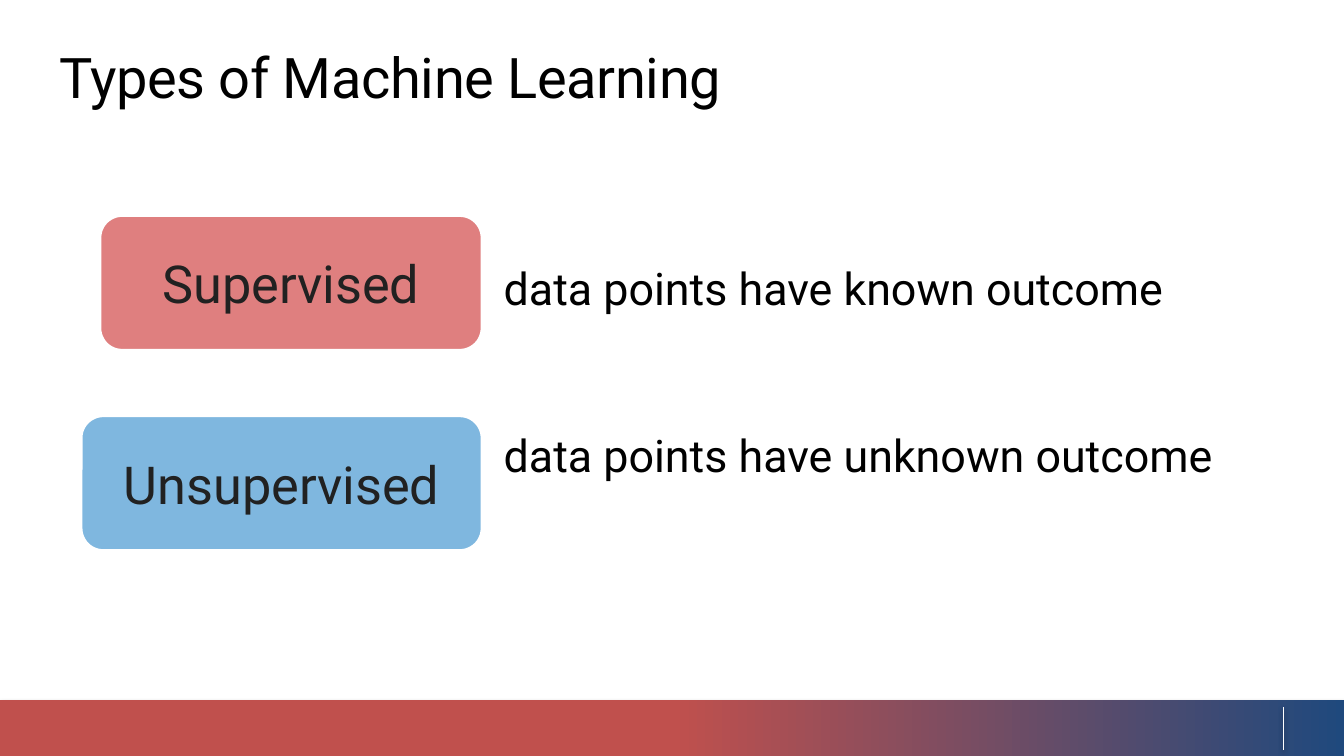
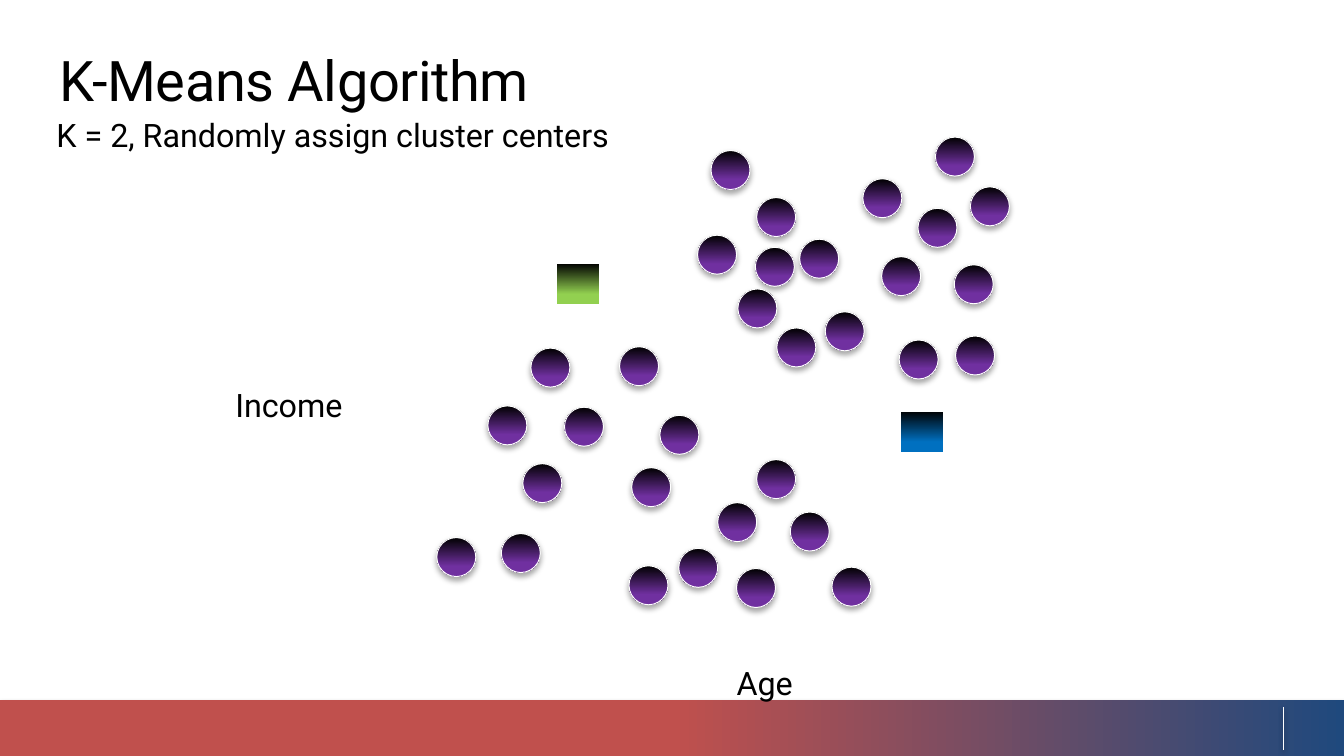
from lxml.etree import SubElement
from pptx import Presentation
from pptx.dml.color import RGBColor
from pptx.enum.shapes import MSO_CONNECTOR, MSO_SHAPE
from pptx.enum.text import MSO_ANCHOR, MSO_AUTO_SIZE, PP_ALIGN
from pptx.oxml.ns import qn
from pptx.util import Inches, Pt

# The grid has ten columns; a row is as high as a column is wide.
WIDTH, HEIGHT = Inches(10), Inches(5.625)
CELL = WIDTH / 10
FONT = "Roboto"
COLORS = {
    "text": "000000", "card_text": "212121", "white": "FFFFFF",
    "navy": "1F497D", "brick": "C0504D",
    "supervised": "C00000", "unsupervised": "0070C0",
    "point": "7030A0", "green_center": "92D050", "blue_center": "0070C0",
}
CARD_PAD = (0.1, 0.05)
BAND_TOP = 5.21
POINT_SIZE = 0.29
CENTER_SIZE = (0.32, 0.31)

# Left and top of each data point, in grid cells.
HIGH_INCOME = [
    (5.29, 1.12), (5.19, 1.75), (5.63, 1.47), (5.62, 1.84),
    (5.49, 2.15), (5.95, 1.78), (6.14, 2.32), (5.78, 2.44),
    (6.69, 2.53), (7.11, 2.5), (7.1, 1.97), (6.56, 1.91),
    (6.83, 1.55), (7.22, 1.39), (6.96, 1.02), (6.42, 1.33),
]
LOW_INCOME = [
    (3.25, 4), (3.63, 3.02), (3.95, 2.59), (4.2, 3.03),
    (4.61, 2.58), (4.91, 3.09), (4.7, 3.48), (3.89, 3.45),
    (3.73, 3.97), (4.68, 4.21), (5.05, 4.08), (5.34, 3.74),
    (5.63, 3.42), (5.88, 3.81), (5.48, 4.23), (6.19, 4.22),
]


def color(name):
    """Return the palette colour of that name."""
    return RGBColor.from_string(COLORS[name])


def cells(*counts):
    """Turn counts of grid cells into slide lengths."""
    return [round(count * CELL) for count in counts]


def write(frame, words, size=24, ink="text", align=PP_ALIGN.LEFT,
          anchor=MSO_ANCHOR.TOP, pad=(0, 0), leading=None, tracking=None):
    """Fill a text frame with one formatted paragraph."""
    frame.word_wrap = True
    frame.auto_size = MSO_AUTO_SIZE.NONE
    frame.vertical_anchor = anchor
    frame.margin_left = frame.margin_right = Inches(pad[0])
    frame.margin_top = frame.margin_bottom = Inches(pad[1])
    paragraph = frame.paragraphs[0]
    paragraph.alignment = align
    paragraph.line_spacing = leading
    run = paragraph.add_run()
    run.text = words
    run.font.name, run.font.size = FONT, Pt(size)
    run.font.color.rgb = color(ink)
    if tracking:
        run.font._element.set("spc", str(round(tracking * 100)))


def add_label(slide, box, words, **style):
    """Add a text box at a grid box."""
    label = slide.shapes.add_textbox(*cells(*box))
    write(label.text_frame, words, **style)


def cast_shadow(element, strength):
    """Put a soft shadow below a shape or connector."""
    properties = element.spPr
    effects = properties.find(qn("a:effectLst"))
    if effects is None:
        effects = SubElement(properties, qn("a:effectLst"))
    shadow = SubElement(effects, qn("a:outerShdw"), blurRad=str(Pt(3.1)),
                        dist=str(Pt(1.8)), dir="5400000", rotWithShape="0")
    black = SubElement(shadow, qn("a:srgbClr"), val="000000")
    SubElement(black, qn("a:alpha"), val=str(strength * 1000))


def add_figure(slide, preset, box, outline=None):
    """Add a flat preset shape with a white outline, or with none."""
    figure = slide.shapes.add_shape(preset, *cells(*box))
    if outline:
        figure.line.color.rgb = color("white")
        figure.line.width = Pt(outline)
    else:
        figure.line.fill.background()
    figure.shadow.inherit = False
    return figure


def shade(figure, start, end, reach, angle):
    """Fill with a gradient that reaches its end colour at a share."""
    figure.fill.gradient()
    figure.fill.gradient_angle = angle
    stops = figure.fill.gradient_stops
    for stop, name, position in zip(stops, (start, end), (0, reach)):
        stop.color.rgb = color(name)
        stop.position = position


def add_footer(slide):
    """Add the gradient band and its divider."""
    band = add_figure(slide, MSO_SHAPE.RECTANGLE, (0, BAND_TOP, 10, 0.42))
    shade(band, "navy", "brick", 0.5, 180)
    cast_shadow(band._element, 35)
    divider = slide.shapes.add_connector(
        MSO_CONNECTOR.STRAIGHT, *cells(9.55, 5.26, 9.55, 5.58))
    divider.line.color.rgb = color("white")
    divider.line.width = Pt(0.74)
    cast_shadow(divider._element, 38)


def add_titled_slide(deck, words, top):
    """Add a slide with the shared footer and title style."""
    slide = deck.slides.add_slide(deck.slide_layouts[5])
    add_footer(slide)
    title = slide.shapes.title
    title.left, title.top, title.width, title.height = cells(
        0.44, top, 9.23, 0.5)
    write(title.text_frame, words, size=30, tracking=-0.2)
    return slide


def add_card(slide, box, words, tint):
    """Add a rounded, half transparent card."""
    card = add_figure(slide, MSO_SHAPE.ROUNDED_RECTANGLE, box, outline=2)
    card.fill.solid()
    card.fill.fore_color.rgb = color(tint)
    fill = card._element.spPr.find(qn("a:solidFill"))
    SubElement(fill[0], qn("a:alpha"), val="50000")
    write(card.text_frame, words, size=28, ink="card_text",
          align=PP_ALIGN.CENTER, anchor=MSO_ANCHOR.MIDDLE, pad=CARD_PAD)


def add_point(slide, left, top):
    """Add one data point of the scatter."""
    point = add_figure(slide, MSO_SHAPE.OVAL,
                       (left, top, POINT_SIZE, POINT_SIZE), outline=0.51)
    shade(point, "text", "point", 0.74, 270)
    cast_shadow(point._element, 35)


def add_center(slide, left, top, tint):
    """Add the square that marks a cluster center."""
    center = add_figure(slide, MSO_SHAPE.RECTANGLE,
                        (left, top, *CENTER_SIZE), outline=0.75)
    shade(center, "text", tint, 0.74, 270)


def build_learning_types(deck):
    """Build the slide on the two types of learning."""
    slide = add_titled_slide(deck, "Types of Machine Learning", 0.32)
    card_right = 3.59
    kinds = [
        ("Supervised", "supervised", 0.74, 1.6,
         "data points have known outcome", 1.69),
        ("Unsupervised", "unsupervised", 0.6, 3.09,
         "data points have unknown outcome", 2.93),
    ]
    for name, tint, left, top, meaning, meaning_top in kinds:
        add_card(slide, (left, top, card_right - left, 1.01), name, tint)
        add_label(slide, (3.65, meaning_top, 5.77, 1.3), meaning,
                  pad=CARD_PAD, leading=1.5)


def build_k_means(deck):
    """Build the slide with the scatter and two cluster centers."""
    slide = add_titled_slide(deck, "K-Means Algorithm", 0.34)
    add_label(slide, (0.42, 0.86, 4.49, 0.57),
              "K = 2, Randomly assign cluster centers", size=17.3)
    axis_names = [("Age", (3.88, 4.83, 3.62, 0.39)),
                  ("Income", (1.62, 2.76, 1.06, 0.39))]
    for name, box in axis_names:
        add_label(slide, box, name, size=17.3, align=PP_ALIGN.CENTER,
                  leading=Pt(28.5))
    for left, top in HIGH_INCOME + LOW_INCOME:
        add_point(slide, left, top)
    add_center(slide, 4.14, 1.96, "green_center")
    add_center(slide, 6.7, 3.06, "blue_center")


def main():
    """Build and save the two slides."""
    deck = Presentation()
    deck.slide_width, deck.slide_height = WIDTH, HEIGHT
    build_learning_types(deck)
    build_k_means(deck)
    deck.save("out.pptx")


main()
